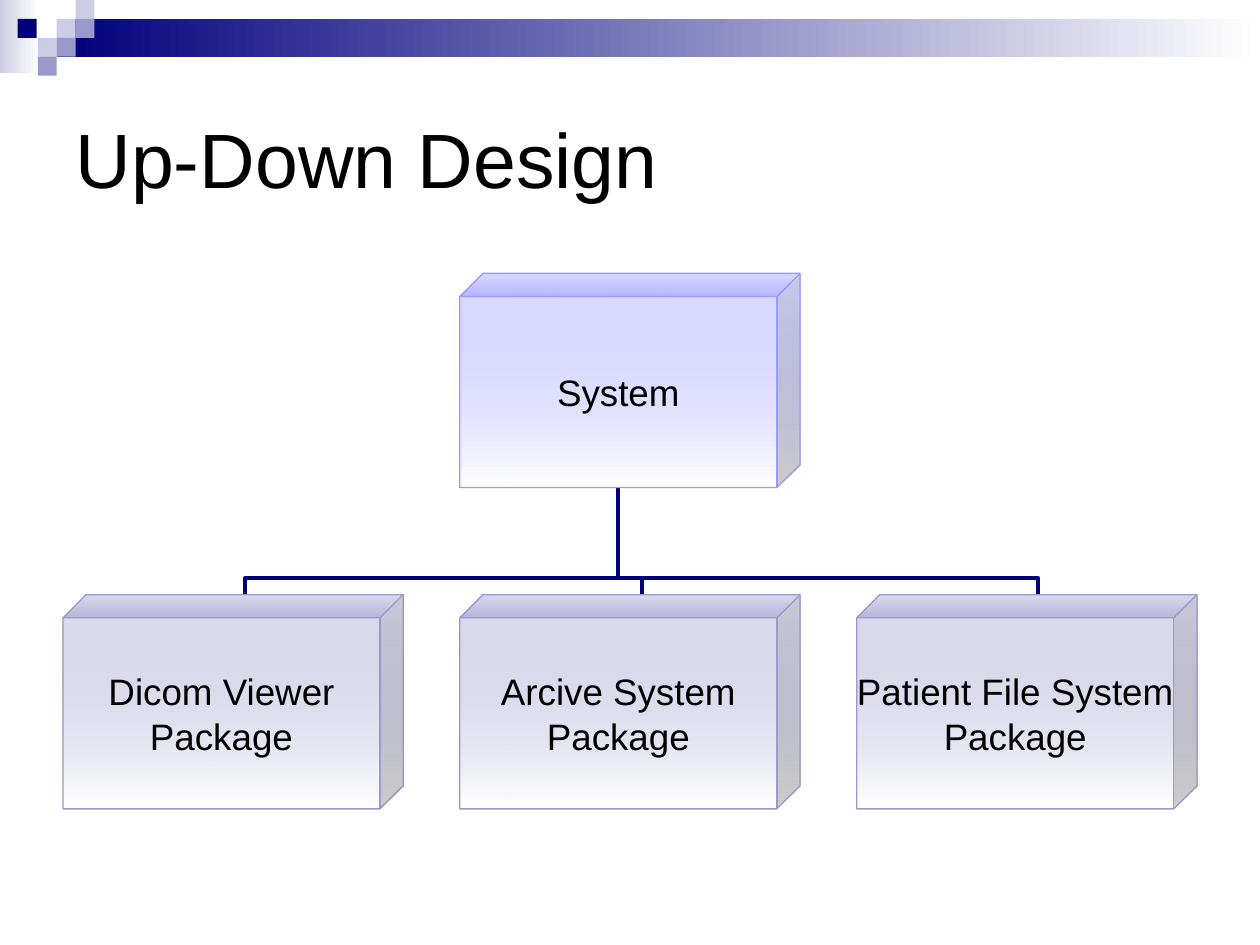
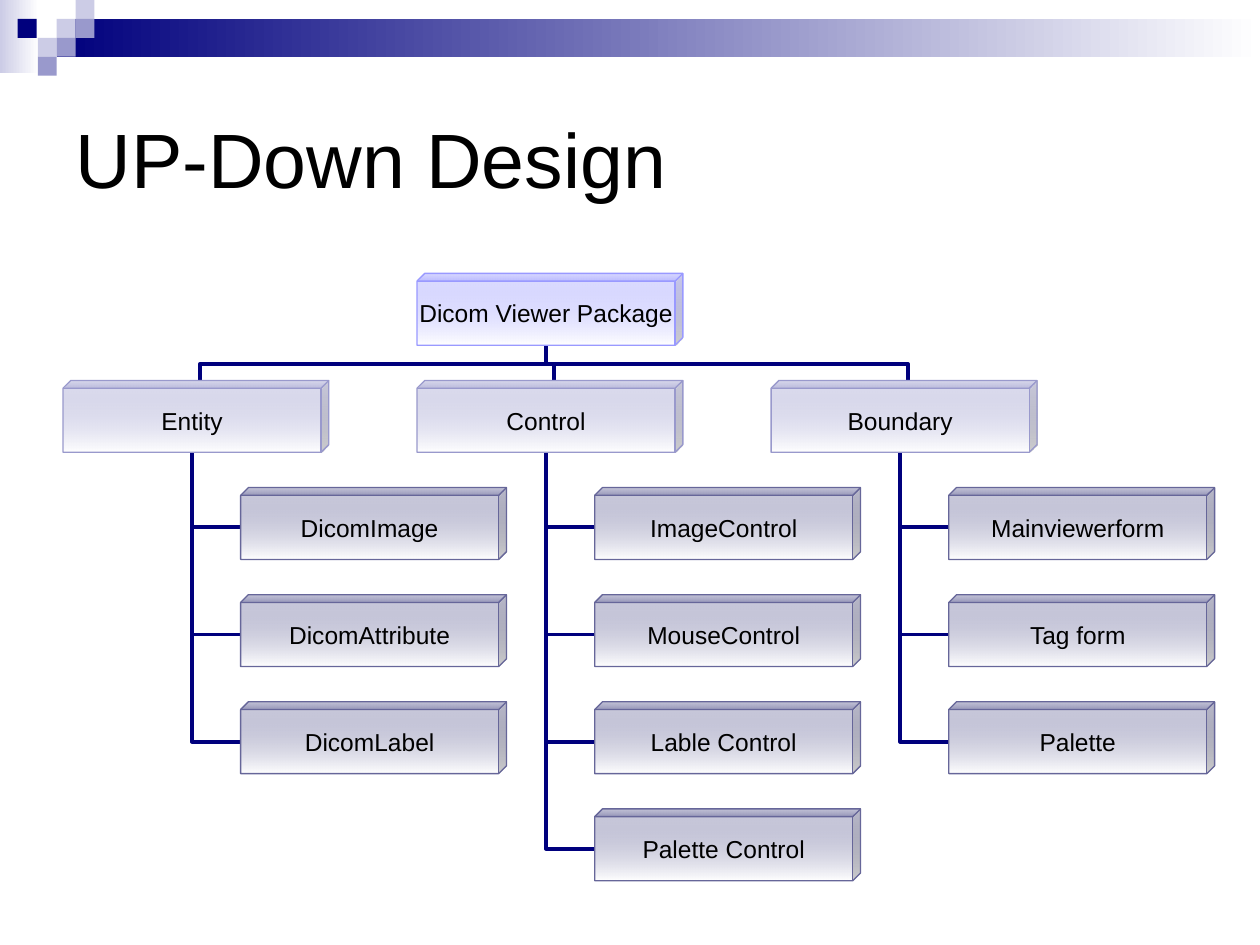
from dataclasses import dataclass

import lxml.etree
import pptx
import pptx.dml.color
import pptx.enum.shapes
import pptx.enum.text
import pptx.oxml.ns
import pptx.util

EMU_PER_PX = 9144  # 100 px to the inch
FONT = "Arial"
NAVY, MIST, LAVENDER = "00007D", "CCCCE6", "9999CC"
ROOT, BRANCH, LEAF = "9999FF", LAVENDER, "666699"
BLACK, WHITE = "000000", "FFFFFF"
CUBE_DEPTH = 0.108
BUS_GAP = 13  # from the horizontal line down to the children
TREE_LEFT, TREE_TOP = 50, 217

Shapes = pptx.enum.shapes.MSO_SHAPE
Align = pptx.enum.text.PP_ALIGN


@dataclass(frozen=True)
class Block:
    left: int
    top: int
    width: int
    height: int
    color: str
    fades: bool = False


@dataclass(frozen=True)
class CubeSize:
    width: int
    height: int
    font_size: int

    @property
    def depth(self) -> float:
        return CUBE_DEPTH * self.height


@dataclass(frozen=True)
class Cube:
    text: str
    left: int
    top: int
    size: CubeSize
    color: str

    @property
    def bottom_joint(self) -> tuple[float, float]:
        return self.left + (self.size.width - self.size.depth) / 2, self.top + self.size.height

    @property
    def top_joint(self) -> tuple[float, float]:
        return self.left + (self.size.width + self.size.depth) / 2, self.top

    @property
    def left_joint(self) -> tuple[float, float]:
        return self.left, self.top + (self.size.height + self.size.depth) / 2


HEADER = [
    Block(0, 0, 31, 58, MIST, fades=True),
    Block(45, 15, 955, 30, NAVY, fades=True),
    Block(45, 15, 15, 15, MIST),
    Block(60, 0, 15, 15, MIST),
    Block(60, 15, 15, 15, LAVENDER),
    Block(30, 30, 15, 15, MIST),
    Block(14, 15, 15, 15, NAVY),
    Block(45, 30, 15, 15, LAVENDER),
    Block(30, 45, 15, 15, LAVENDER),
]

LARGE = CubeSize(270, 170, 21)
SMALL = CubeSize(211, 57, 14)
PACKAGES = ["Dicom Viewer\nPackage", "Arcive System\nPackage", "Patient File System\nPackage"]
CLASSES = {
    "Entity": ["DicomImage", "DicomAttribute", "DicomLabel"],
    "Control": ["ImageControl", "MouseControl", "Lable Control", "Palette Control"],
    "Boundary": ["Mainviewerform", "Tag form", "Palette"],
}


def px(value: float) -> int:
    return round(value * EMU_PER_PX)


def rgb(color: str) -> pptx.dml.color.RGBColor:
    return pptx.dml.color.RGBColor.from_string(color)


def add_element(parent, tag: str, **attributes: str):
    return lxml.etree.SubElement(parent, pptx.oxml.ns.qn(tag), **attributes)


def set_gradient(shape, first: str, last: str, angle: int) -> None:
    shape.fill.gradient()
    shape.fill.gradient_angle = angle
    for stop, color, position in zip(shape.fill.gradient_stops, (first, last), (0, 1)):
        stop.color.rgb = rgb(color)
        stop.position = position


def format_text(text_frame, size: int, alignment) -> None:
    text_frame.vertical_anchor = pptx.enum.text.MSO_ANCHOR.MIDDLE
    for paragraph in text_frame.paragraphs:
        paragraph.alignment = alignment
        for run in paragraph.runs:
            run.font.name = FONT
            run.font.size = pptx.util.Pt(size)
            run.font.color.rgb = rgb(BLACK)


# Shared slide frame
def draw_block(slide, block: Block) -> None:
    shape = slide.shapes.add_shape(
        Shapes.RECTANGLE, px(block.left), px(block.top), px(block.width), px(block.height))
    shape.shadow.inherit = False
    shape.line.fill.background()
    if block.fades:
        set_gradient(shape, WHITE, block.color, 180)
    else:
        shape.fill.solid()
        shape.fill.fore_color.rgb = rgb(block.color)


def add_slide(presentation, title_text: str):
    slide = presentation.slides.add_slide(presentation.slide_layouts[5])
    for block in HEADER:
        draw_block(slide, block)
    title = slide.shapes.title
    title.left, title.top, title.width, title.height = px(50), px(50), px(900), px(150)
    title.text_frame.text = title_text
    title.text_frame.auto_size = pptx.enum.text.MSO_AUTO_SIZE.NONE
    format_text(title.text_frame, 44, Align.LEFT)
    return slide


# Tree parts
def draw_cube(slide, cube: Cube) -> None:
    shape = slide.shapes.add_shape(
        Shapes.CUBE, px(cube.left), px(cube.top), px(cube.size.width), px(cube.size.height))
    shape.adjustments[0] = CUBE_DEPTH
    shape.shadow.inherit = False
    set_gradient(shape, cube.color, WHITE, 270)
    first_color = shape._element.spPr.find(".//" + pptx.oxml.ns.qn("a:srgbClr"))
    add_element(first_color, "a:alpha", val="40000")
    shape.line.color.rgb = rgb(cube.color)
    shape.line.width = pptx.util.Pt(0.75)
    frame = shape.text_frame
    frame.text = cube.text
    frame.word_wrap = False
    frame.margin_left = frame.margin_top = frame.margin_right = frame.margin_bottom = 0
    format_text(frame, cube.size.font_size, Align.CENTER)


def add_elbow(slide, left: float, top: float, width: float, height: float, rotation: int):
    connector = slide.shapes.add_connector(
        pptx.enum.shapes.MSO_CONNECTOR.ELBOW,
        px(left), px(top), px(left + width), px(top + height))
    connector.line.color.rgb = rgb(NAVY)
    connector.line.width = pptx.util.Pt(2.25)
    properties = connector._element.spPr
    add_element(properties, "a:effectLst")
    properties.xfrm.set("rot", str(rotation * 60000))
    return properties


def join_below(slide, parent: Cube, child: Cube) -> None:
    """Runs up from the child's top, along the bus, to the parent's bottom."""
    (child_x, child_y), (parent_x, parent_y) = child.top_joint, parent.bottom_joint
    rise, shift = child_y - parent_y, abs(child_x - parent_x)
    left = (child_x + parent_x - rise) / 2
    top = (child_y + parent_y - shift) / 2
    properties = add_elbow(slide, left, top, rise, shift, 270)
    if child_x > parent_x:
        properties.xfrm.set("flipV", "1")
    guides = properties.find(".//" + pptx.oxml.ns.qn("a:avLst"))
    add_element(guides, "a:gd", name="adj1", fmla=f"val {round(BUS_GAP / rise * 100000)}")


def join_beside(slide, parent: Cube, child: Cube) -> None:
    """Runs left from the child's side, then up to the parent's bottom."""
    (child_x, child_y), (parent_x, parent_y) = child.left_joint, parent.bottom_joint
    properties = add_elbow(
        slide, parent_x, parent_y, child_x - parent_x, child_y - parent_y, 180)
    properties.find(pptx.oxml.ns.qn("a:prstGeom")).set("prst", "bentConnector2")


# Slides
def build_system_slide(presentation) -> None:
    slide = add_slide(presentation, "Up-Down Design")
    column_step, row_step = 315, 255
    system = Cube("System", TREE_LEFT + column_step, TREE_TOP, LARGE, ROOT)
    packages = [
        Cube(text, TREE_LEFT + column * column_step, TREE_TOP + row_step, LARGE, BRANCH)
        for column, text in enumerate(PACKAGES)
    ]
    for package in packages:
        join_below(slide, system, package)
    for cube in [system, *packages]:
        draw_cube(slide, cube)


def build_viewer_slide(presentation) -> None:
    slide = add_slide(presentation, "UP-Down Design")
    column_step, row_step, indent = 281, 85, 141
    viewer = Cube("Dicom Viewer Package", TREE_LEFT + column_step, TREE_TOP, SMALL, ROOT)
    cubes = [viewer]
    for column, (group_name, class_names) in enumerate(CLASSES.items()):
        left = TREE_LEFT + column * column_step
        group = Cube(group_name, left, TREE_TOP + row_step, SMALL, BRANCH)
        join_below(slide, viewer, group)
        cubes.append(group)
        for row, class_name in enumerate(class_names, start=2):
            leaf = Cube(class_name, left + indent, TREE_TOP + row * row_step, SMALL, LEAF)
            join_beside(slide, group, leaf)
            cubes.append(leaf)
    for cube in cubes:
        draw_cube(slide, cube)


def main() -> None:
    presentation = pptx.Presentation()
    presentation.slide_width, presentation.slide_height = px(1000), px(750)
    build_system_slide(presentation)
    build_viewer_slide(presentation)
    presentation.save("out.pptx")


if __name__ == "__main__":
    main()
